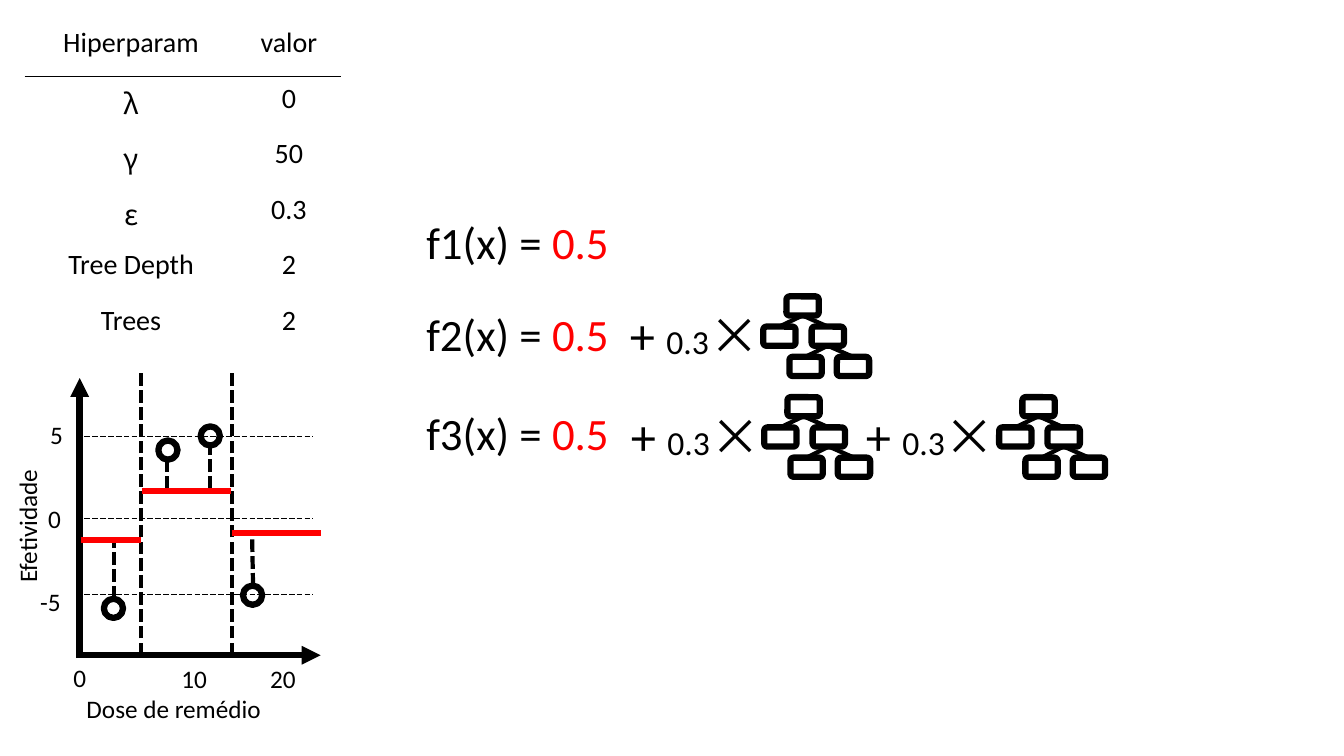
import pptx
import pptx.dml.color
import pptx.enum.dml
import pptx.enum.shapes
import pptx.enum.text
import pptx.oxml.ns
import pptx.oxml.xmlchemy
import pptx.util
from lxml import etree

PX = 9144  # 100 px to the inch
BLACK = pptx.dml.color.RGBColor(0, 0, 0)
WHITE = pptx.dml.color.RGBColor(255, 255, 255)
RED = pptx.dml.color.RGBColor(255, 0, 0)
LATIN = "Calibri"
GREEK = "Noto Sans CJK SC"
CENTER = pptx.enum.text.PP_ALIGN.CENTER
LONG = pptx.enum.dml.MSO_LINE.LONG_DASH
SHORT = pptx.enum.dml.MSO_LINE.SQUARE_DOT
SHAPE = pptx.enum.shapes.MSO_SHAPE
qn = pptx.oxml.ns.qn


def say(frame, text, size=18, ink=BLACK, face=LATIN, align=None):
    """Add one run to the first paragraph of a frame."""
    frame.word_wrap = True
    para = frame.paragraphs[0]
    para.alignment = align
    run = para.add_run()
    run.text = text
    run.font.size = pptx.util.Pt(size)
    run.font.name = face
    run.font.color.rgb = ink
    etree.SubElement(run.font._element, qn("a:ea"), typeface=face)


def draw(home, x1, y1, x2, y2, ink=BLACK, width=3, dash=None, arrow=False):
    """Add a straight line to the slide or to a group."""
    line = home.add_connector(pptx.enum.shapes.MSO_CONNECTOR.STRAIGHT,
                              x1 * PX, y1 * PX, x2 * PX, y2 * PX)
    line.line.color.rgb = ink
    line.line.width = pptx.util.Pt(width)
    if dash:
        line.line.dash_style = dash
    if arrow:
        etree.SubElement(line.line._get_or_add_ln(), qn("a:tailEnd"), type="triangle")
    etree.SubElement(line._element.spPr, qn("a:effectLst"))
    return line


deck = pptx.Presentation()
deck.slide_width = 1333 * PX
deck.slide_height = 750 * PX
shapes = deck.slides.add_slide(deck.slide_layouts[6]).shapes

# Hyperparameter table
params = [("Hiperparam", "valor"), ("λ", "0"), ("γ", "50"), ("ε", "0.3"),
          ("Tree Depth", "2"), ("Trees", "2")]
table = shapes.add_table(6, 2, 25 * PX, 21 * PX, 313 * PX, 330 * PX).table
table.first_row = table.horz_banding = False
table.columns[0].width = 210 * PX
table.columns[1].width = 103 * PX
for r, pair in enumerate(params):
    table.rows[r].height = 55 * PX
    for c, text in enumerate(pair):
        cell = table.cell(r, c)
        say(cell.text_frame, text, 20, face=GREEK if text in "λγε" else LATIN, align=CENTER)
        # Rule under the header row
        if r < 2:
            edge = etree.SubElement(cell._tc.get_or_add_tcPr(),
                                    qn("a:lnT" if r else "a:lnB"), w="12700")
            fill = etree.SubElement(edge, qn("a:solidFill"))
            etree.SubElement(fill, qn("a:srgbClr"), val=str(BLACK))
        cell.fill.background()

# Chart axes and grid
draw(shapes, 79, 653, 79, 375, width=4.5, arrow=True)
draw(shapes, 79, 650, 318, 650, width=4.5, arrow=True)
for y in (433, 514, 590):
    draw(shapes, 76, y, 310, y, width=0.5, dash=LONG)

# Axis labels
labels = [("5", 40, 411, 53, 0), ("0", 38, 494, 33, 0), ("-5", 30, 577, 53, 0),
          ("0", 63, 652, 53, 0), ("10", 170, 653, 53, 0), ("20", 258, 653, 66, 0),
          ("Dose de remédio", 76, 683, 227, 0), ("Efetividade", -52, 489, 158, 270)]
for text, x, y, w, turn in labels:
    box = shapes.add_textbox(x * PX, y * PX, w * PX, 40 * PX)
    box.rotation = turn
    say(box.text_frame, text)

# Residuals and split thresholds
dashes = [(113, 594, 113, 534), (208, 485, 208, 443), (166, 485, 166, 456),
          (251, 581, 250, 530), (140, 650, 140, 368), (230, 650, 230, 368)]
for ends in dashes:
    draw(shapes, *ends, dash=SHORT)

# Observed doses
for x, y in [(103, 594), (157, 437), (199, 423), (241, 581)]:
    dot = shapes.add_shape(SHAPE.OVAL, x * PX, y * PX, 19 * PX, 19 * PX)
    dot.shadow.inherit = False
    dot.fill.background()
    dot.line.color.rgb = BLACK
    dot.line.width = pptx.util.Pt(4.5)

# Predicted level of each interval
for x1, x2, y in [(80, 140, 536), (141, 229, 487), (230, 318, 529)]:
    draw(shapes, x1, y, x2, y, ink=RED, width=4.5)

# Start of each formula
for name, y in [("f1", 208), ("f2", 299), ("f3", 398)]:
    box = shapes.add_textbox(413 * PX, y * PX, 220 * PX, 64 * PX)
    say(box.text_frame, name + "(x) = ", 32)
    say(box.text_frame, "0.5", 32, RED)

# Boosting terms: a small tree and its weight
nodes = [(23, 0), (0, 30), (48, 30), (26, 60), (73, 60)]
links = [(0, 1), (0, 2), (2, 4), (2, 3)]
for x, y in [(615, 297), (616, 397), (849, 397)]:
    tree = shapes.add_group_shape().shapes
    boxes = []
    for dx, dy in nodes:
        node = tree.add_shape(SHAPE.ROUNDED_RECTANGLE, (x + 142 + dx) * PX,
                              (y - 3 + dy) * PX, 32 * PX, 19 * PX)
        node.shadow.inherit = False
        node.fill.solid()
        node.fill.fore_color.rgb = WHITE
        node.line.color.rgb = BLACK
        node.line.width = pptx.util.Pt(4.5)
        boxes.append(node)
    for top, low in links:
        link = draw(tree, x + 142, y, x + 142, y)
        link.begin_connect(boxes[low], 0)
        link.end_connect(boxes[top], 2)
    term = shapes.add_textbox(x * PX, y * PX, 183 * PX, 71 * PX).text_frame
    say(term, "+ ", 36)
    say(term, "0.3", 24)
    say(term, "×", 36, face=GREEK)

deck.save("out.pptx")
